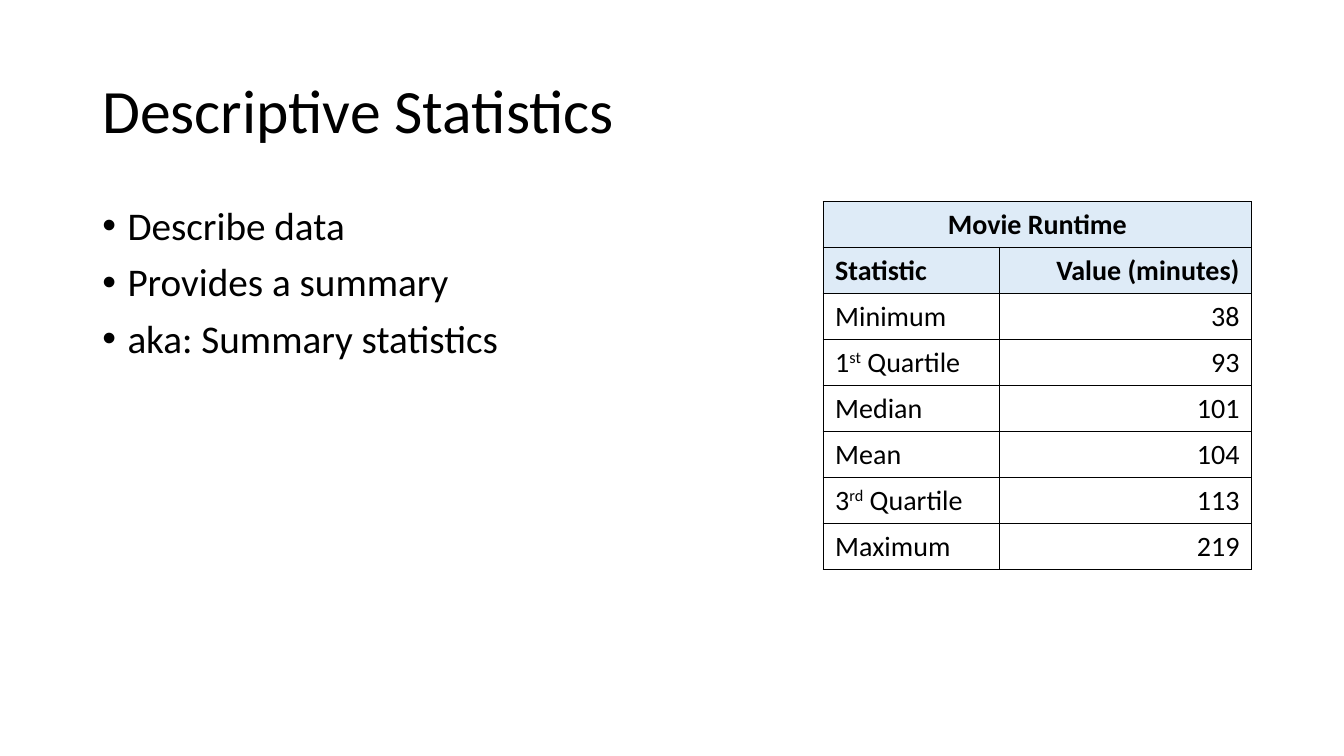
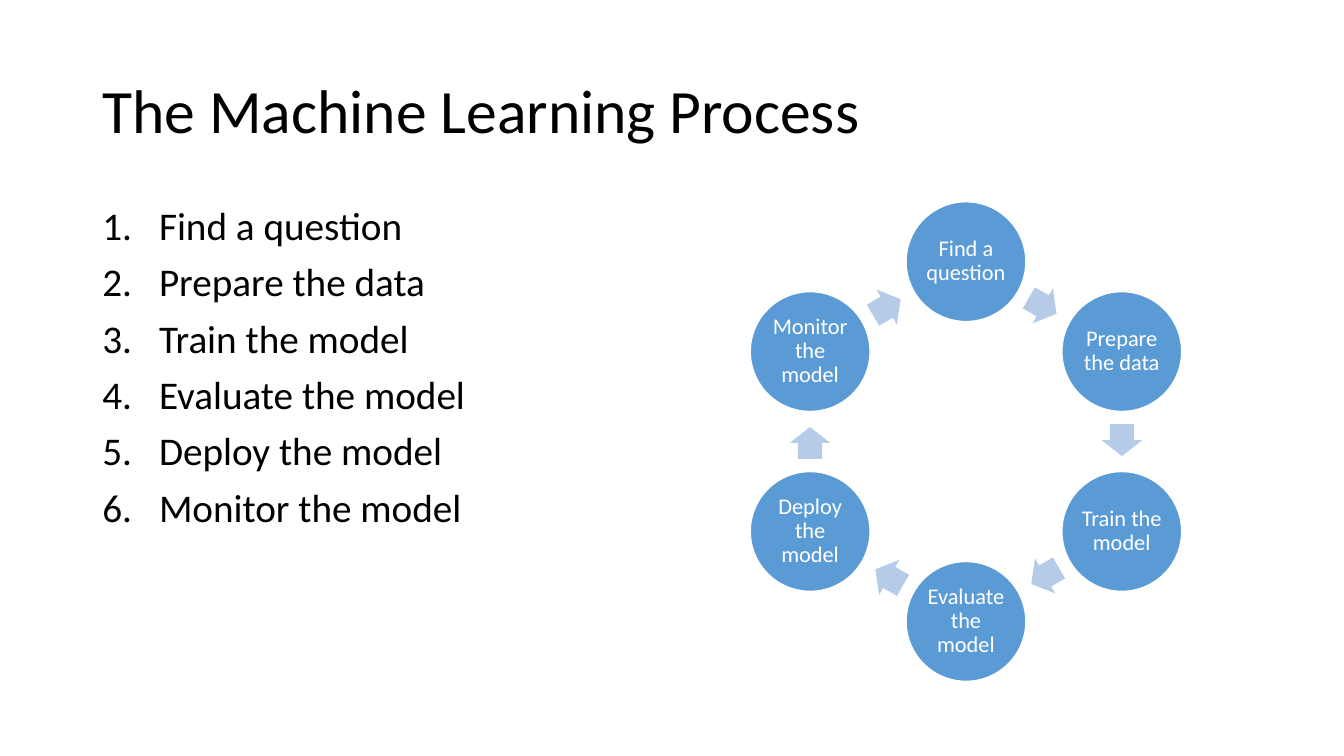
import math

import lxml.etree
import pptx
import pptx.dml.color
import pptx.enum.shapes
import pptx.enum.text
import pptx.oxml.ns
import pptx.util

Pt = pptx.util.Pt
ALIGN = pptx.enum.text.PP_ALIGN
ANCHOR = pptx.enum.text.MSO_ANCHOR
SHAPE = pptx.enum.shapes.MSO_SHAPE

# Shared style
FONT = "Calibri"
BLACK, WHITE = "000000", "FFFFFF"
HEADER_BLUE, CIRCLE_BLUE, ARROW_BLUE = "DEEBF7", "5B9BD5", "B5CBE7"
LEFT = 66
CONTENT_TOP = 144
LINE_SPACING = 0.9

# Slide content
SUMMARY_POINTS = ["Describe data", "Provides a summary", "aka: Summary statistics"]
STEPS = ["Find a question", "Prepare the data", "Train the model",
         "Evaluate the model", "Deploy the model", "Monitor the model"]
# Each label is a list of runs; the second run is superscript
RUNTIMES = [(["Minimum"], "38"), (["1", "st", " Quartile"], "93"),
            (["Median"], "101"), (["Mean"], "104"),
            (["3", "rd", " Quartile"], "113"), (["Maximum"], "219")]


def color(value):
    return pptx.dml.color.RGBColor.from_string(value)


def add_element(parent, tag, **attributes):
    element = lxml.etree.SubElement(parent, pptx.oxml.ns.qn(tag))
    for name, value in attributes.items():
        element.set(name, str(value))
    return element


def add_span(para, text, size, hue=BLACK, bold=False):
    span = para.add_run()
    span.text = text
    span.font.name = FONT
    span.font.size = Pt(size)
    span.font.bold = bold
    span.font.color.rgb = color(hue)
    return span


def add_box(page, left, top, width, height, anchor=ANCHOR.TOP):
    box = page.shapes.add_textbox(Pt(left), Pt(top), Pt(width), Pt(height))
    box.text_frame.word_wrap = True
    box.text_frame.vertical_anchor = anchor
    return box.text_frame


def add_page(deck, title):
    page = deck.slides.add_slide(deck.slide_layouts[6])
    para = add_box(page, LEFT, 28.75, 828, 104.4, ANCHOR.MIDDLE).paragraphs[0]
    para.line_spacing = LINE_SPACING
    add_span(para, title, 44)
    return page


def add_list(page, items, indent, numbered=False):
    frame = add_box(page, LEFT, CONTENT_TOP, 408, 342.6)
    for index, item in enumerate(items):
        para = frame.add_paragraph() if index else frame.paragraphs[0]
        properties = para._p.get_or_add_pPr()
        properties.set("marL", str(Pt(indent)))
        properties.set("indent", str(-Pt(indent)))
        if numbered:
            add_element(properties, "a:buFont", typeface="+mj-lt")
            add_element(properties, "a:buAutoNum", type="arabicPeriod")
        else:
            add_element(properties, "a:buFont", typeface="Arial")
            add_element(properties, "a:buChar", char="•")
        para.line_spacing = LINE_SPACING
        if index:
            para.space_before = Pt(10)
        add_span(para, item, 28)


def style_cell(cell, header):
    cell.margin_left = cell.margin_right = Pt(8.6)
    cell.margin_top = cell.margin_bottom = Pt(4.4)
    properties = cell._tc.get_or_add_tcPr()
    for side in ("a:lnL", "a:lnR", "a:lnT", "a:lnB"):
        line = add_element(properties, side, w=Pt(1))
        add_element(add_element(line, "a:solidFill"), "a:srgbClr", val=BLACK)
    if header:
        cell.fill.solid()
        cell.fill.fore_color.rgb = color(HEADER_BLUE)
    else:
        cell.fill.background()


def add_runtime_table(page):
    rows = [(["Movie Runtime"], ""), (["Statistic"], "Value (minutes)")] + RUNTIMES
    row_height = 32.8
    table = page.shapes.add_table(len(rows), 2, Pt(588), Pt(CONTENT_TOP), Pt(306),
                                  Pt(row_height * len(rows))).table
    table.first_row = table.horz_banding = False
    table.columns[0].width, table.columns[1].width = Pt(126), Pt(180)
    table.cell(0, 0).merge(table.cell(0, 1))
    for row, (label, value) in enumerate(rows):
        table.rows[row].height = Pt(row_height)
        header = row < 2
        for column, texts in enumerate((label, [value])):
            cell = table.cell(row, column)
            style_cell(cell, header)
            if cell.is_spanned:
                continue
            para = cell.text_frame.paragraphs[0]
            para.alignment = ALIGN.RIGHT if column else ALIGN.LEFT
            for index, text in enumerate(texts):
                span = add_span(para, text, 20, bold=header)
                if index == 1:
                    span._r.get_or_add_rPr().set("baseline", "30000")
    table.cell(0, 0).text_frame.paragraphs[0].alignment = ALIGN.CENTER


def add_centered_shape(page, kind, x, y, width, height, fill):
    shape = page.shapes.add_shape(kind, Pt(x - width / 2), Pt(y - height / 2),
                                  Pt(width), Pt(height))
    shape.shadow.inherit = False
    shape.fill.solid()
    shape.fill.fore_color.rgb = color(fill)
    shape.line.fill.background()
    return shape


def add_step_circle(page, x, y, text):
    circle = add_centered_shape(page, SHAPE.OVAL, x, y, 85.6, 85.6, CIRCLE_BLUE)
    circle.line.color.rgb = color(WHITE)
    circle.line.width = Pt(1)
    frame = circle.text_frame
    frame.word_wrap = True
    frame.vertical_anchor = ANCHOR.MIDDLE
    frame.margin_left = frame.margin_right = Pt(1.6)
    frame.margin_top = frame.margin_bottom = Pt(1.6)
    para = frame.paragraphs[0]
    para.alignment = ALIGN.CENTER
    para.line_spacing = LINE_SPACING
    add_span(para, text, 16, WHITE)


def add_cycle(page, steps):
    def place(radius, degrees):
        """Point on the ring, measured clockwise from the top."""
        angle = math.radians(degrees)
        return 690 + radius * math.sin(angle), 315.4 - radius * math.cos(angle)

    turn = 360 / len(steps)
    for index, step in enumerate(steps):
        start = index * turn
        add_step_circle(page, *place(128.5, start), step)
        middle = start + turn / 2
        arrow = add_centered_shape(page, SHAPE.RIGHT_ARROW, *place(111.4, middle - 0.5),
                                   22.8, 28.9, ARROW_BLUE)
        arrow.adjustments[0], arrow.adjustments[1] = 0.6, 0.5
        arrow.rotation = middle


def main():
    deck = pptx.Presentation()
    deck.slide_width, deck.slide_height = Pt(960), Pt(540)

    # Summary statistics
    page = add_page(deck, "Descriptive Statistics")
    add_list(page, SUMMARY_POINTS, 18)
    add_runtime_table(page)

    # Process steps as a list and as a cycle
    page = add_page(deck, "The Machine Learning Process")
    add_list(page, STEPS, 40.5, numbered=True)
    add_cycle(page, STEPS)

    deck.save("out.pptx")


if __name__ == "__main__":
    main()
